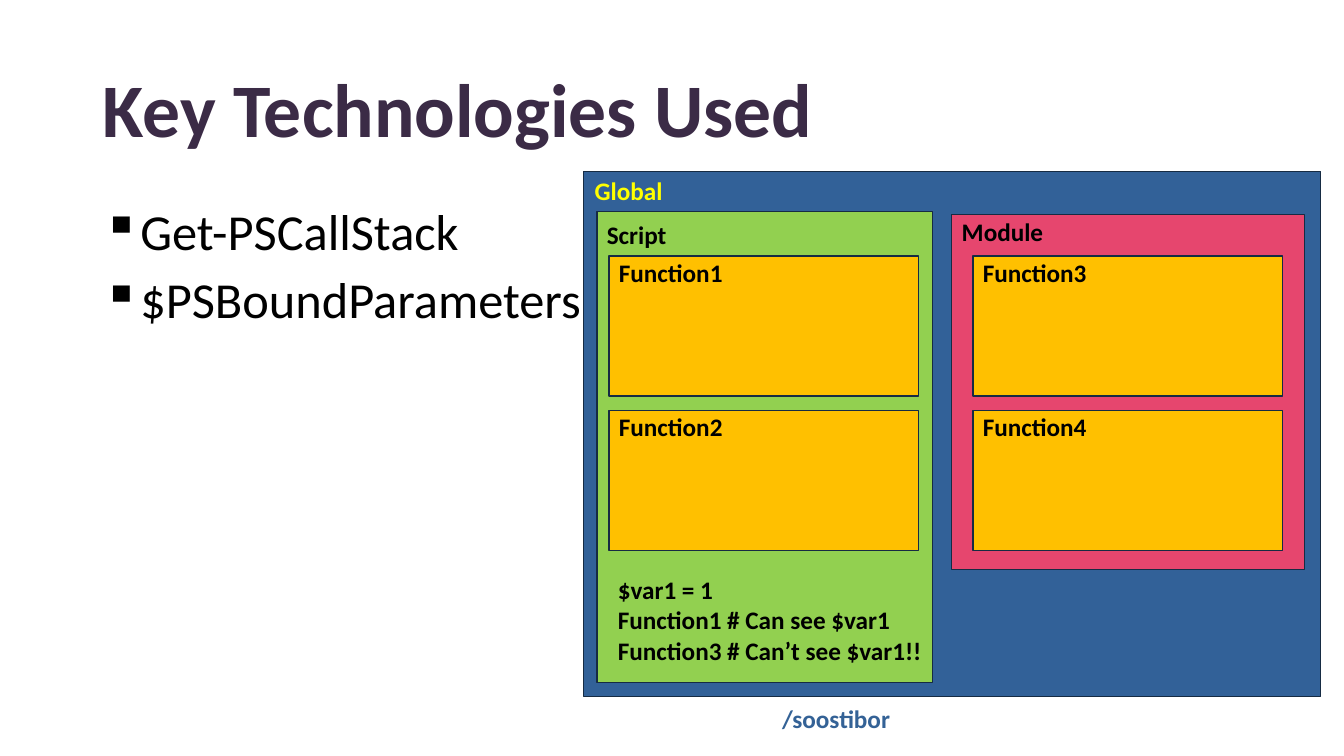
from dataclasses import dataclass

from lxml.etree import SubElement
from pptx import Presentation
from pptx.dml.color import RGBColor
from pptx.enum.shapes import MSO_SHAPE as Preset
from pptx.enum.text import MSO_ANCHOR as Anchor, MSO_AUTO_SIZE as AutoSize, PP_ALIGN as Align
from pptx.oxml.ns import qn
from pptx.shapes.shapetree import GroupShapes, SlideShapes
from pptx.text.text import TextFrame
from pptx.util import Inches, Pt


@dataclass(frozen=True)
class Theme:
    font: str = "Calibri"
    title_size: int = 54
    bullet_size: int = 36
    label_size: int = 18
    title: str = "3B2B46"
    text: str = "000000"
    handle: str = "346296"
    outline: str = "162B43"
    global_fill: str = "326198"
    global_label: str = "FFFF00"
    script_fill: str = "92D050"
    module_fill: str = "E6466E"
    function_fill: str = "FFC000"


THEME = Theme()


@dataclass(frozen=True)
class Box:
    left: float
    top: float
    width: float
    height: float

    def lengths(self) -> tuple[Inches, Inches, Inches, Inches]:
        return Inches(self.left), Inches(self.top), Inches(self.width), Inches(self.height)


@dataclass(frozen=True)
class Scope:
    """A variable scope: a filled rectangle with its name and nested functions."""
    name: str
    area: Box
    fill: str
    label: Box
    label_color: str = THEME.text
    functions: tuple[str, ...] = ()
    functions_left: float = 0


SCOPES = (
    Scope("Global", Box(5.79, 1.7, 7.31, 5.21), THEME.global_fill,
          Box(5.8, 1.69, 0.88, 0.4), THEME.global_label),
    Scope("Script", Box(5.92, 2.1, 3.33, 4.67), THEME.script_fill,
          Box(5.92, 2.13, 0.8, 0.4),
          functions=("Function1", "Function2"), functions_left=6.04),
    Scope("Module", Box(9.44, 2.13, 3.5, 3.52), THEME.module_fill,
          Box(9.44, 2.1, 1.02, 0.4),
          functions=("Function3", "Function4"), functions_left=9.65),
)
FUNCTION_TOP, FUNCTION_STEP = 2.54, 1.53
FUNCTION_WIDTH, FUNCTION_HEIGHT = 3.07, 1.39
FUNCTION_LABEL_RISE = 0.04

KEY_TECHNOLOGIES = ("Get-PSCallStack", "$PSBoundParameters")
SCRIPT_CODE = ("$var1 = 1", "Function1 # Can see $var1", "Function3 # Can’t see $var1!!")


def write(frame: TextFrame, *lines: str, size: int = THEME.label_size,
          color: str = THEME.text, bold: bool = True, wrap: bool = True,
          auto_size: AutoSize = AutoSize.NONE, anchor: Anchor = Anchor.TOP,
          line_spacing: float = 1.0, space_before: float = 0, bullet: str = "") -> None:
    frame.word_wrap = wrap
    frame.auto_size = auto_size
    frame.vertical_anchor = anchor
    for index, line in enumerate(lines):
        paragraph = frame.add_paragraph() if index else frame.paragraphs[0]
        paragraph.alignment = Align.LEFT
        paragraph.line_spacing = line_spacing
        paragraph.space_before = Pt(space_before)
        run = paragraph.add_run()
        run.text = line
        run.font.name = THEME.font
        run.font.size = Pt(size)
        run.font.bold = bold
        run.font.color.rgb = RGBColor.from_string(color)
        if bullet:
            properties = paragraph._p.get_or_add_pPr()
            properties.set("marL", str(Inches(0.25)))
            properties.set("indent", str(Inches(-0.25)))
            SubElement(properties, qn("a:buChar"), char=bullet)


def add_label(shapes: SlideShapes | GroupShapes, box: Box, *lines: str,
              color: str = THEME.text) -> None:
    write(shapes.add_textbox(*box.lengths()).text_frame, *lines, color=color,
          wrap=False, auto_size=AutoSize.SHAPE_TO_FIT_TEXT)


def add_area(shapes: SlideShapes | GroupShapes, box: Box, fill: str) -> None:
    area = shapes.add_shape(Preset.RECTANGLE, *box.lengths())
    area.shadow.inherit = False
    area.fill.solid()
    area.fill.fore_color.rgb = RGBColor.from_string(fill)
    area.line.color.rgb = RGBColor.from_string(THEME.outline)
    area.line.width = Pt(1)


def add_function(shapes: SlideShapes, name: str, left: float, top: float) -> None:
    members = shapes.add_group_shape().shapes
    add_area(members, Box(left, top, FUNCTION_WIDTH, FUNCTION_HEIGHT), THEME.function_fill)
    add_label(members, Box(left, top - FUNCTION_LABEL_RISE, 1.24, 0.4), name)


def add_scope(shapes: SlideShapes, scope: Scope) -> None:
    add_area(shapes, scope.area, scope.fill)
    add_label(shapes, scope.label, scope.name, color=scope.label_color)
    for row, name in enumerate(scope.functions):
        add_function(shapes, name, scope.functions_left, FUNCTION_TOP + row * FUNCTION_STEP)


def main() -> None:
    deck = Presentation()
    deck.slide_width, deck.slide_height = Inches(13.33), Inches(7.5)
    shapes = deck.slides.add_slide(deck.slide_layouts.get_by_name("Title Only")).shapes

    handle = shapes.add_textbox(*Box(7.66, 6.93, 3.26, 0.4).lengths())
    write(handle.text_frame, "/soostibor", color=THEME.handle)

    title = shapes.title
    title.left, title.top, title.width, title.height = Box(0.92, 0.4, 10.64, 1.45).lengths()
    write(title.text_frame, "Key Technologies Used", size=THEME.title_size,
          color=THEME.title, anchor=Anchor.MIDDLE, line_spacing=0.9)

    technologies = shapes.add_textbox(*Box(0.92, 2, 5, 4.76).lengths())
    write(technologies.text_frame, *KEY_TECHNOLOGIES, size=THEME.bullet_size,
          bold=False, line_spacing=0.9, space_before=10, bullet="▪")

    for scope in SCOPES:
        add_scope(shapes, scope)
    add_label(shapes, Box(6.03, 5.65, 3.25, 1.01), *SCRIPT_CODE)

    deck.save("out.pptx")


if __name__ == "__main__":
    main()
